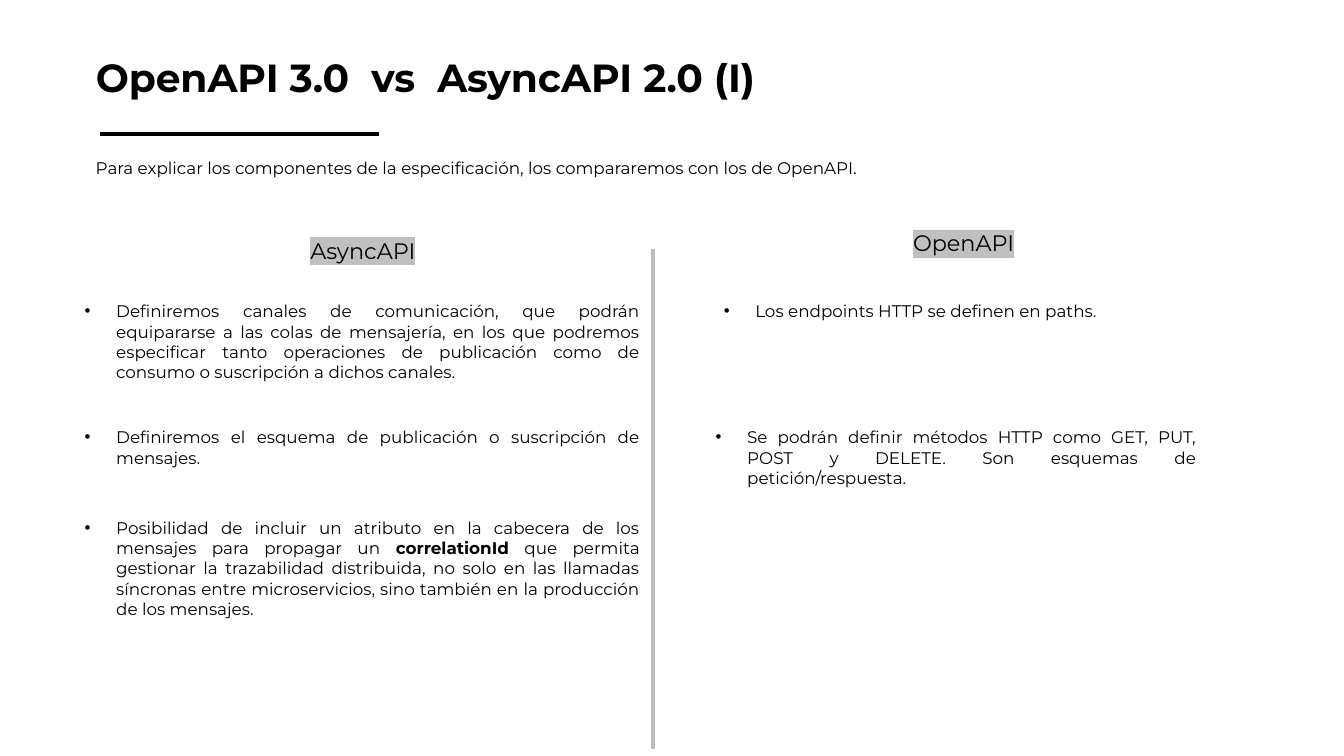
from lxml import etree
from pptx import Presentation
from pptx.dml.color import RGBColor
from pptx.enum.shapes import MSO_CONNECTOR
from pptx.enum.text import MSO_ANCHOR, MSO_AUTO_SIZE, PP_ALIGN
from pptx.oxml.ns import qn
from pptx.util import Pt

LINE = MSO_CONNECTOR.STRAIGHT
GROW = MSO_AUTO_SIZE.SHAPE_TO_FIT_TEXT
TOP, MIDDLE = MSO_ANCHOR.TOP, MSO_ANCHOR.MIDDLE
LEFT, CENTER, JUST = PP_ALIGN.LEFT, PP_ALIGN.CENTER, PP_ALIGN.JUSTIFY
BLACK = RGBColor(0, 0, 0)
GREY = RGBColor(0xBD, 0xBD, 0xBD)
MARK = "C0C0C0"
FONT = "Montserrat"

# Content: a body text is a list of (words, bold) runs
TITLE = "OpenAPI 3.0\u00a0 vs\u00a0\u00a0AsyncAPI 2.0 (I)"
INTRO = ("Para explicar los componentes de la especificación, "
         "los compararemos con los de OpenAPI. ")
HEADS = [("AsyncAPI", 178.6, 164.2), ("OpenAPI", 607.7, 159.1)]

# Bullets: left, width, row, count of lines, runs
WIDE, SLIM = 415.4, 362.2
ROWS = [210.2, 300.2, 365]
ITEMS = [
    (51.1, WIDE, 0, 4, [
        ("Definiremos canales de comunicación, que podrán equipararse a las "
         "colas de mensajería, en los que podremos especificar tanto "
         "operaciones de publicación como de consumo o suscripción a dichos "
         "canales.", False)]),
    (51.1, WIDE, 1, 2, [
        ("Definiremos el esquema de publicación o suscripción de mensajes.",
         False)]),
    (51.1, WIDE, 2, 5, [
        ("Posibilidad de incluir un atributo en la cabecera de los mensajes "
         "para propagar un ", False),
        ("correlationId", True),
        (" que permita gestionar la trazabilidad distribuida, no solo en las "
         "llamadas síncronas entre microservicios, sino también en la "
         "producción de los mensajes.", False)]),
    (507.6, SLIM, 0, 1, [("Los endpoints HTTP se definen en paths.", False)]),
    (501.8, SLIM, 1, 3, [
        ("Se podrán definir métodos HTTP como GET, PUT, POST y DELETE. "
         "Son esquemas de petición/respuesta.", False)]),
]

# Lines: start x, start y, end x, end y, colour
RULES = [(71.3, 95.8, 270.7, 95.8, BLACK), (466.6, 177.8, 466.6, 535, GREY)]

deck = Presentation()
deck.slide_width, deck.slide_height = Pt(960), Pt(540)
slide = deck.slides.add_slide(deck.slide_layouts[6])


def tall(lines):
    return 10.1 + 14.4 * lines


def add_rule(x, y, end_x, end_y, color):
    rule = slide.shapes.add_connector(LINE, Pt(x), Pt(y), Pt(end_x), Pt(end_y))
    rule.line.color.rgb = color
    rule.line.width = Pt(3)
    etree.SubElement(rule._element.spPr, qn("a:effectLst"))


def add_text(box, runs, size=12, align=JUST, after=12, pad=4.9,
             anchor=TOP, space=None, mark=False):
    frame = slide.shapes.add_textbox(*map(Pt, box)).text_frame
    form = {"word_wrap": True, "auto_size": GROW, "vertical_anchor": anchor,
            "margin_left": Pt(9.4), "margin_right": Pt(9.4),
            "margin_top": Pt(pad), "margin_bottom": Pt(pad)}
    for name, value in form.items():
        setattr(frame, name, value)
    para = frame.paragraphs[0]
    para.alignment, para.space_after = align, Pt(after)
    para.line_spacing = space
    for words, bold in runs:
        run = para.add_run()
        run.text = words
        run.font.color.rgb = BLACK
        for name, value in {"name": FONT, "size": Pt(size),
                            "bold": bold}.items():
            setattr(run.font, name, value)
        if mark:
            light = etree.Element(qn("a:highlight"))
            etree.SubElement(light, qn("a:srgbClr"), val=MARK)
            run._r.rPr.find(qn("a:latin")).addprevious(light)
    return para


def add_bullet(para):
    props = para._p.get_or_add_pPr()
    props.set("marL", str(Pt(22.5)))
    props.set("indent", str(Pt(-22.5)))
    etree.SubElement(props, qn("a:buFont"), typeface="Arial")
    etree.SubElement(props, qn("a:buChar"), char="•")


# Rules
for rule in RULES:
    add_rule(*rule)

# Title and intro
add_text((59, 23, 630, 58.3), [(TITLE, True)], size=28, align=LEFT, after=0,
         pad=9.4, anchor=MIDDLE, space=1.15)
add_text((59, 108, 624.2, tall(1)), [(INTRO, False)])

# Column heads
for name, x, y in HEADS:
    add_text((x, y, 161.3, 28.8), [(name, False)], size=16, align=CENTER,
             after=8, mark=True)

# Bullets
for x, width, row, lines, runs in ITEMS:
    add_bullet(add_text((x, ROWS[row], width, tall(lines)), runs))

deck.save("out.pptx")
